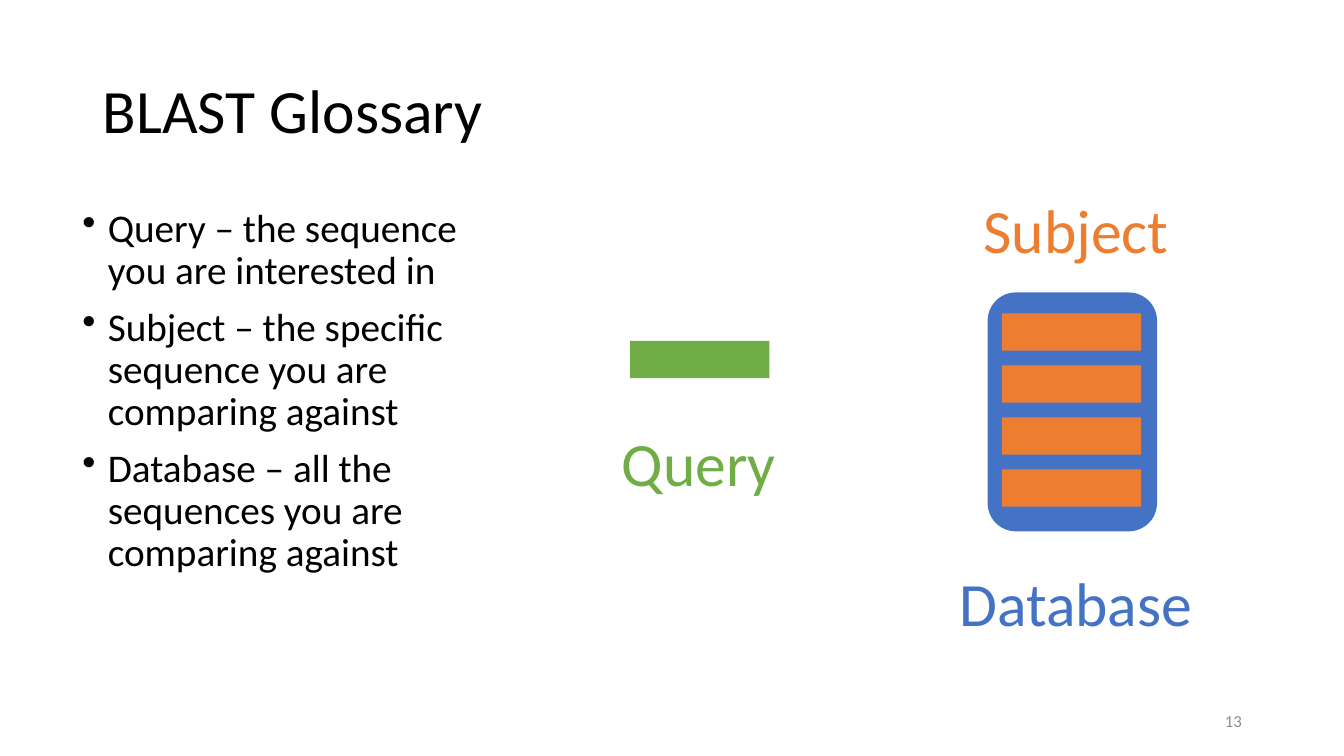
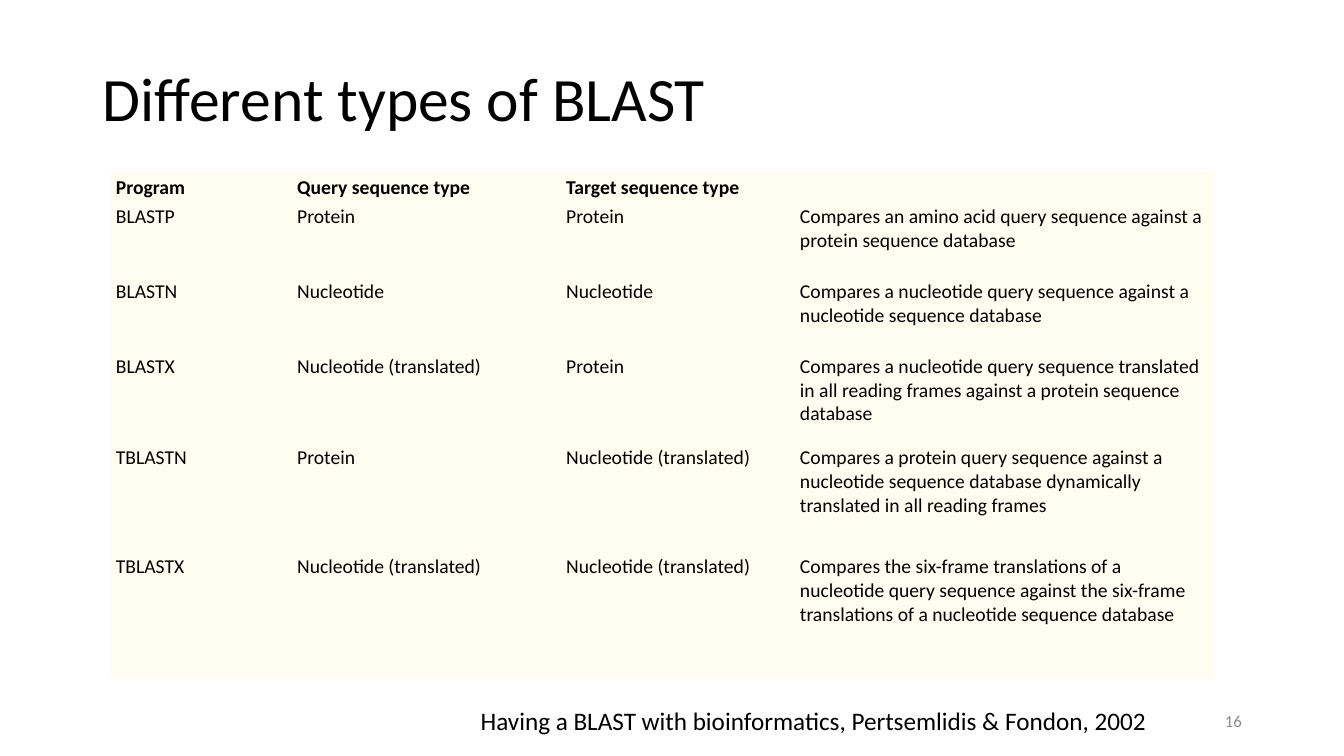
from lxml.etree import SubElement
from pptx import Presentation
from pptx.dml.color import RGBColor
from pptx.enum.shapes import MSO_SHAPE
from pptx.enum.text import MSO_ANCHOR, MSO_AUTO_SIZE, PP_ALIGN
from pptx.oxml.ns import qn
from pptx.util import Cm, Pt

COLORS = {
    "text": "000000",
    "number": "8C8C8C",
    "query": "70AD47",
    "subject": "ED7D31",
    "database": "4472C4",
    "table": "FFFCF0",
}
FONT = "Calibri"
NO_GRID_STYLE = "{2D5ABB26-0587-4C30-8999-92F81FD0307C}"
TITLE_LAYOUT = 5
FOOTER_TOP, FOOTER_HEIGHT = 17.65, 1.02


class Deck:
    """Holds the shared style and the slide being built."""

    def __init__(self):
        self.presentation = Presentation()
        self.presentation.slide_width = Cm(33.87)
        self.presentation.slide_height = Cm(19.05)
        self.slide = None

    def color(self, name):
        return RGBColor.from_string(COLORS[name])

    def format(self, paragraph, size, color="text", bold=False, align=PP_ALIGN.LEFT):
        paragraph.alignment = align
        font = paragraph.font
        font.name, font.size, font.bold = FONT, Pt(size), bold
        font.color.rgb = self.color(color)

    def add_slide(self, title, title_top, number):
        layout = self.presentation.slide_layouts[TITLE_LAYOUT]
        self.slide = self.presentation.slides.add_slide(layout)
        shape = self.slide.shapes.title
        shape.left, shape.top = Cm(2.34), Cm(title_top)
        shape.width, shape.height = Cm(29.21), Cm(3.68)
        frame = shape.text_frame
        frame.text = title
        frame.auto_size = MSO_AUTO_SIZE.NONE
        frame.vertical_anchor = MSO_ANCHOR.MIDDLE
        paragraph = frame.paragraphs[0]
        paragraph.line_spacing = 0.9
        self.format(paragraph, 44)
        self.text(number, 23.93, FOOTER_TOP, 7.62, FOOTER_HEIGHT, 12, "number",
                  PP_ALIGN.RIGHT, MSO_ANCHOR.MIDDLE)

    def text(self, text, left, top, width, height, size, color="text",
             align=PP_ALIGN.LEFT, anchor=MSO_ANCHOR.TOP, wrap=True):
        shape = self.slide.shapes.add_textbox(Cm(left), Cm(top), Cm(width), Cm(height))
        frame = shape.text_frame
        frame.text = text
        frame.word_wrap = wrap
        frame.vertical_anchor = anchor
        for paragraph in frame.paragraphs:
            self.format(paragraph, size, color, align=align)
        return frame

    def label(self, text, left, top, width, color):
        frame = self.text(text, left, top, width, 2.13, 44, color, wrap=False)
        frame.auto_size = MSO_AUTO_SIZE.SHAPE_TO_FIT_TEXT

    def bullets(self, items, left, top, width, height):
        frame = self.text("\n".join(items), left, top, width, height, 28)
        for paragraph in frame.paragraphs:
            paragraph.line_spacing = 0.9
            paragraph.space_before = Pt(10)
            properties = paragraph._p.get_or_add_pPr()
            properties.set("marL", str(Cm(0.64)))
            properties.set("indent", str(-Cm(0.64)))
            bullet = SubElement(properties, qn("a:buChar"))
            bullet.set("char", "•")
            properties.find(qn("a:defRPr")).addprevious(bullet)

    def block(self, left, top, width, height, color, kind=MSO_SHAPE.RECTANGLE):
        shape = self.slide.shapes.add_shape(kind, Cm(left), Cm(top), Cm(width), Cm(height))
        shape.shadow.inherit = False
        shape.fill.solid()
        shape.fill.fore_color.rgb = self.color(color)
        shape.line.fill.background()

    def sequence(self, left, top, color):
        self.block(left, top, 3.51, 0.94, color)

    def table(self, rows, left, top, widths, heights):
        shape = self.slide.shapes.add_table(
            len(rows), len(widths), Cm(left), Cm(top), Cm(sum(widths)), Cm(sum(heights)))
        next(shape.element.iter(qn("a:tableStyleId"))).text = NO_GRID_STYLE
        table = shape.table
        table.horz_banding = False
        for column, width in zip(table.columns, widths):
            column.width = Cm(width)
        for row, height in zip(table.rows, heights):
            row.height = Cm(height)
        for row_index, texts in enumerate(rows):
            for column_index, text in enumerate(texts):
                self.cell(table.cell(row_index, column_index), text, row_index == 0)

    def cell(self, cell, text, bold):
        cell.text = text
        cell.margin_left = cell.margin_right = Cm(0.13)
        cell.margin_top = cell.margin_bottom = Cm(0.08)
        cell.fill.solid()
        cell.fill.fore_color.rgb = self.color("table")
        self.format(cell.text_frame.paragraphs[0], 14, bold=bold)


deck = Deck()

deck.add_slide("BLAST Glossary", 1.02, "13")
deck.bullets([
    "Query – the sequence you are interested in",
    "Subject – the specific sequence you are comparing against",
    "Database – all the sequences you are comparing against",
], 1.83, 5.13, 10.74, 12.09)
deck.block(24.89, 7.37, 4.27, 6.02, "database", MSO_SHAPE.ROUNDED_RECTANGLE)
for index in range(4):
    deck.sequence(25.25, 7.9 + 1.31 * index, "subject")
deck.sequence(15.88, 8.59, "query")
deck.label("Query", 15.42, 10.59, 4.45, "query")
deck.label("Subject", 24.54, 4.7, 5.23, "subject")
deck.label("Database", 23.93, 14.12, 6.45, "database")

PROTEIN, NUCLEOTIDE, TRANSLATED = "Protein", "Nucleotide", "Nucleotide (translated)"
deck.add_slide("Different types of BLAST", 0.71, "16")
deck.table([
    ("Program", "Query sequence type", "Target sequence type", ""),
    ("BLASTP", PROTEIN, PROTEIN,
     "Compares an amino acid query sequence against a protein sequence database"),
    ("BLASTN", NUCLEOTIDE, NUCLEOTIDE,
     "Compares a nucleotide query sequence against a nucleotide sequence database"),
    ("BLASTX", TRANSLATED, PROTEIN,
     "Compares a nucleotide query sequence translated in all reading frames "
     "against a protein sequence database"),
    ("TBLASTN", PROTEIN, TRANSLATED,
     "Compares a protein query sequence against a nucleotide sequence database "
     "dynamically translated in all reading frames"),
    ("TBLASTX", TRANSLATED, TRANSLATED,
     "Compares the six-frame translations of a nucleotide query sequence against "
     "the six-frame translations of a nucleotide sequence database"),
], 2.79, 4.34, (4.57, 6.78, 5.89, 10.57), (0.66, 1.88, 1.88, 2.31, 2.74, 3.18))
deck.text("Having a BLAST with bioinformatics, Pertsemlidis & Fondon, 2002",
          9.45, FOOTER_TOP, 19.69, FOOTER_HEIGHT, 18, align=PP_ALIGN.RIGHT)

deck.presentation.save("out.pptx")
